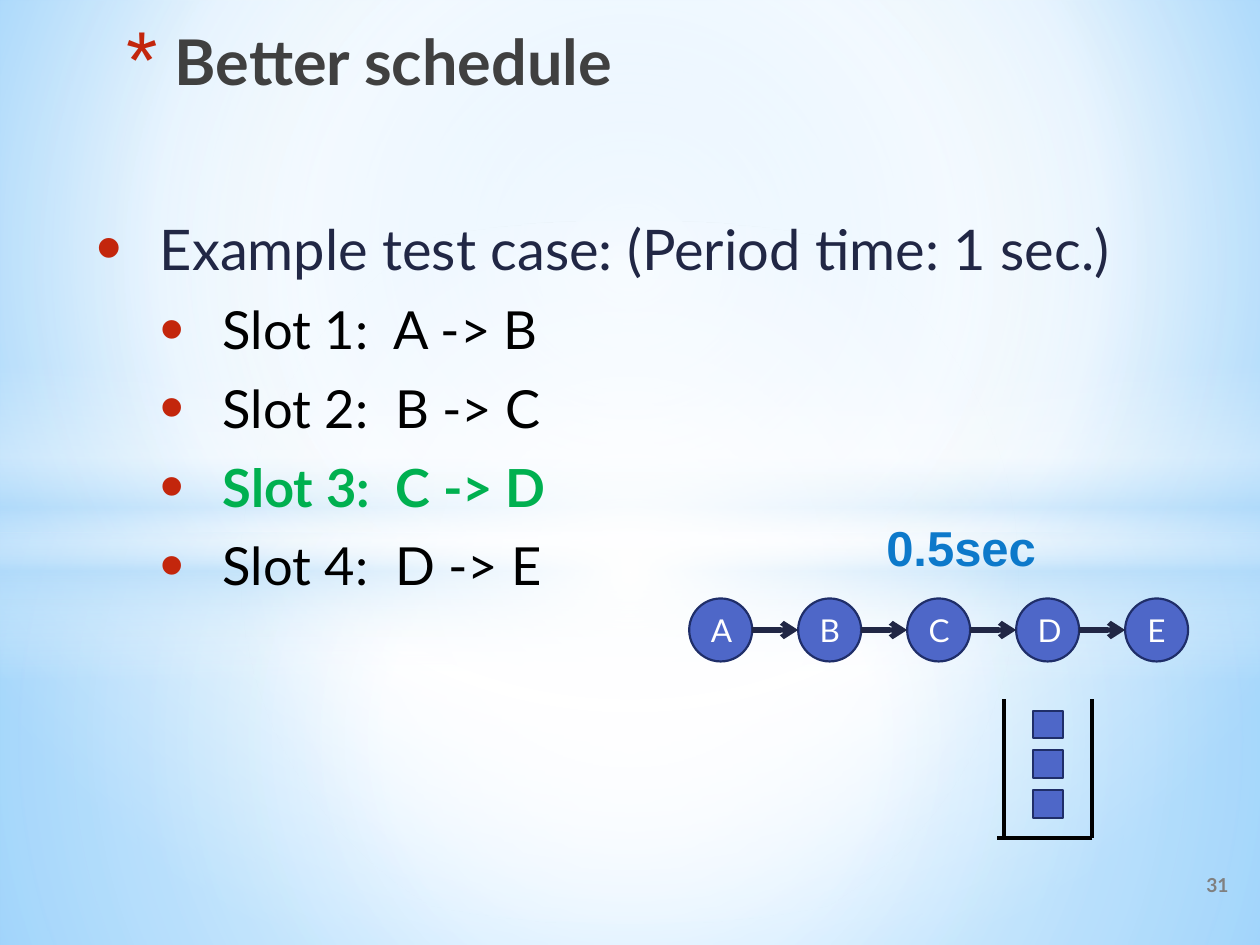
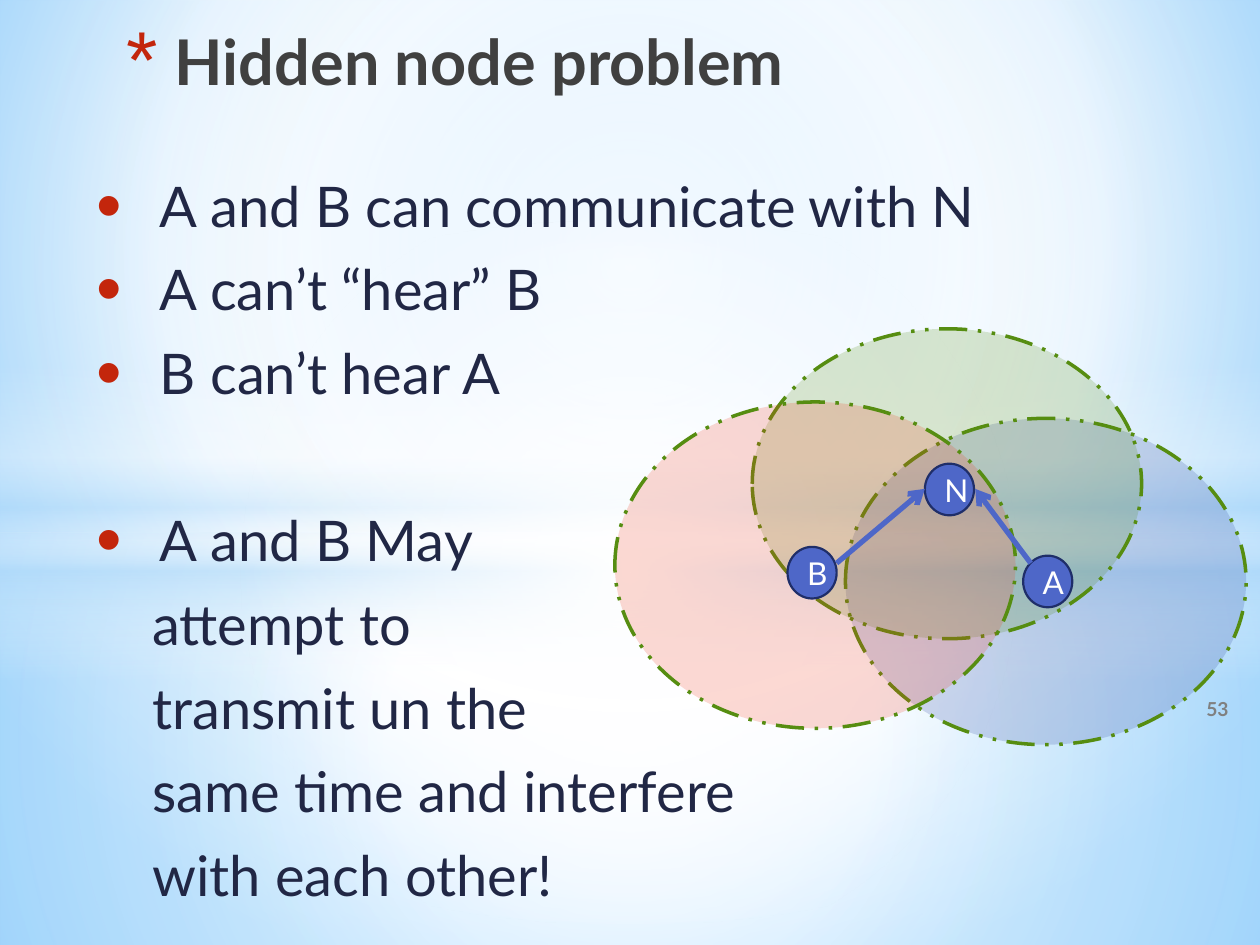
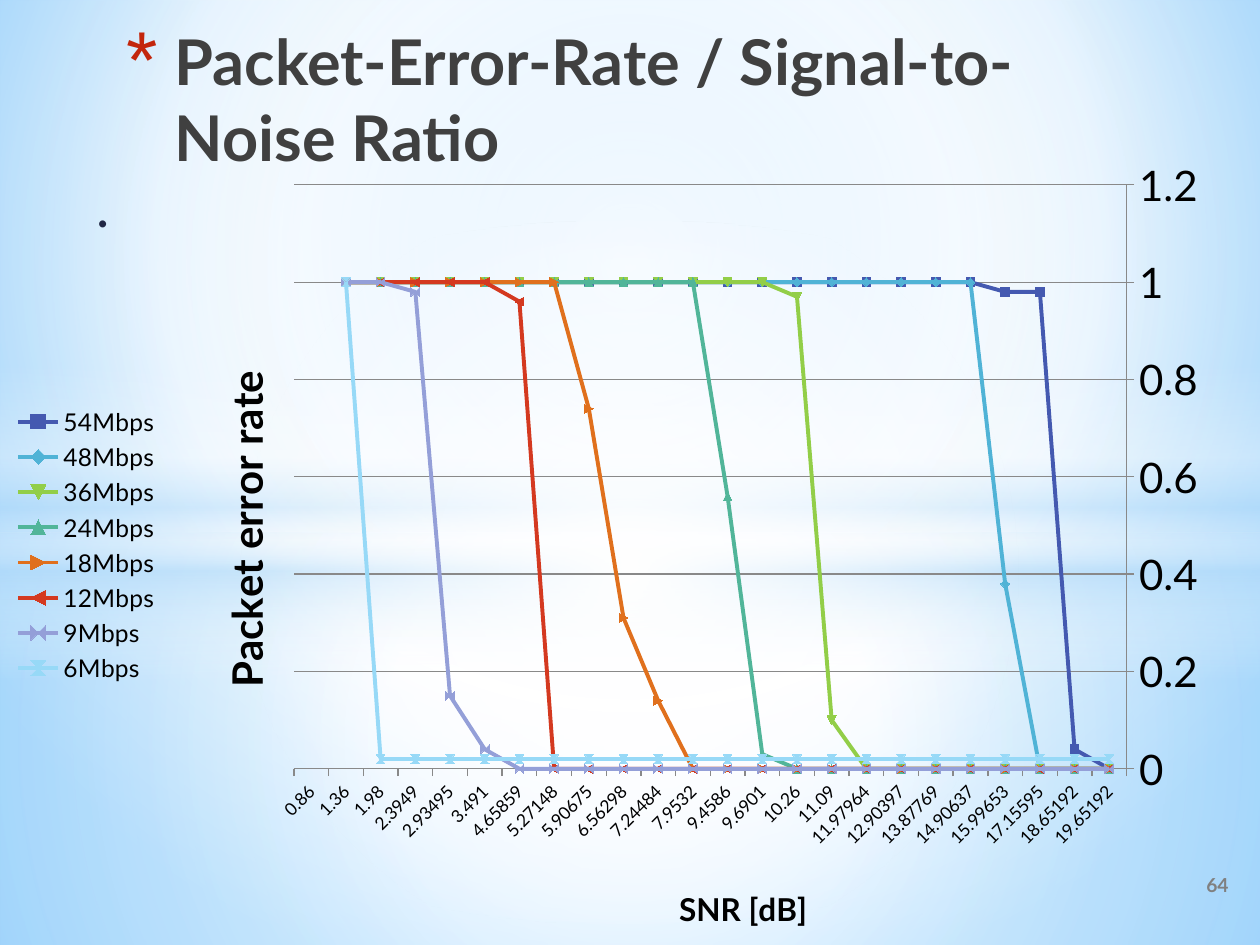
from dataclasses import dataclass
from typing import NamedTuple, Optional

from lxml.etree import SubElement
from pptx import Presentation
from pptx.chart.data import CategoryChartData
from pptx.dml.color import RGBColor
from pptx.enum.chart import XL_CHART_TYPE as ChartType
from pptx.enum.chart import XL_LEGEND_POSITION as LegendPosition
from pptx.enum.chart import XL_TICK_MARK as TickMark
from pptx.enum.dml import MSO_LINE as Dash
from pptx.enum.shapes import MSO_CONNECTOR as Connector
from pptx.enum.shapes import MSO_SHAPE as Preset
from pptx.enum.text import MSO_ANCHOR as Anchor
from pptx.enum.text import PP_ALIGN as Align
from pptx.oxml.ns import qn
from pptx.util import Inches, Pt

COLORS = {
    "title": "404040", "body": "212745", "black": "000000", "white": "FFFFFF",
    "bullet": "C3260C", "active": "00B050", "delay": "0D79CA", "page": "808080",
    "node": "4E67C8", "node_line": "1F2E69", "range_line": "568D11",
    "range_a": "31489F", "range_n": "568D11", "range_b": "F14124",
    "haze": "B4DCFA", "sky": "9ED5FF", "sky_edge": "5BB9FF", "grid": "898989",
    "54Mbps": "4459B0", "48Mbps": "50B3D6", "36Mbps": "92CE48", "24Mbps": "51B599",
    "18Mbps": "E0701D", "12Mbps": "D43920", "9Mbps": "949FD8", "6Mbps": "97D9F7",
}
FONT = "Lato"


class Box(NamedTuple):
    left: float
    top: float
    width: float
    height: float

    def inches(self) -> list:
        return [Inches(value) for value in self]


class Stop(NamedTuple):
    position: int
    color: str
    opacity: int = 100


@dataclass
class Backdrop:
    preset: Preset
    box: Box
    stops: list
    angle: Optional[int] = None


@dataclass
class Line:
    text: str
    size: int = 32
    color: str = "body"
    bold: bool = False
    margin: float = 0.5
    bullet: bool = True
    gap: float = 0


@dataclass
class Node:
    label: str
    box: Box


@dataclass
class RadioRange:
    box: Box
    color: str


@dataclass
class Rate:
    name: str
    values: list


BACKDROPS = [
    Backdrop(Preset.RECTANGLE, Box(0, 4.23, 10, 3.27),
             [Stop(0, "white", 91), Stop(37, "white", 76), Stop(100, "haze", 79)]),
    Backdrop(Preset.RECTANGLE, Box(0, 0, 10, 4.23),
             [Stop(0, "white", 89), Stop(48, "white", 62), Stop(100, "haze", 79)]),
    Backdrop(Preset.RECTANGLE, Box(0, 2.9, 10, 2.5),
             [Stop(0, "white", 0), Stop(29, "white", 30), Stop(45, "haze", 40),
              Stop(55, "white", 26), Stop(65, "haze", 60), Stop(100, "white", 0)], 90),
    Backdrop(Preset.OVAL, Box(0, 1.75, 10, 5.58),
             [Stop(0, "white"), Stop(54, "white", 0)]),
]


def rgb(name: str) -> RGBColor:
    return RGBColor.from_string(COLORS[name])


def paint_gradient(fill, element, stops: list, angle: Optional[int] = None,
                   focus: tuple = (50, 50, 50, 50)) -> None:
    """Linear gradient when an angle is given, otherwise circular around focus."""
    fill.gradient()
    gradient = element.find(".//" + qn("a:gradFill"))
    for child in list(gradient):
        gradient.remove(child)
    stop_list = SubElement(gradient, qn("a:gsLst"))
    for stop in stops:
        mark = SubElement(stop_list, qn("a:gs"), pos=str(stop.position * 1000))
        color = SubElement(mark, qn("a:srgbClr"), val=COLORS[stop.color])
        if stop.opacity < 100:
            SubElement(color, qn("a:alpha"), val=str(stop.opacity * 1000))
    if angle is not None:
        SubElement(gradient, qn("a:lin"), ang=str(angle * 60000), scaled="0")
    else:
        circle = SubElement(gradient, qn("a:path"), path="circle")
        SubElement(circle, qn("a:fillToRect"),
                   {side: str(value * 1000) for side, value in zip("ltrb", focus)})


def build_backdrop(layout, slide) -> None:
    """Draws the shared backdrop and moves it into the layout."""
    paint_gradient(layout.background.fill, layout.element,
                   [Stop(0, "sky"), Stop(60, "white"), Stop(100, "sky_edge")],
                   focus=(20, 10, 20, 60))
    for backdrop in BACKDROPS:
        panel = slide.shapes.add_shape(backdrop.preset, *backdrop.box.inches())
        panel.shadow.inherit = False
        panel.line.fill.background()
        paint_gradient(panel.fill, panel.element, backdrop.stops, backdrop.angle)
        layout.shapes.element.append(panel.element)


def add_run(paragraph, text: str, size: float, color: str,
            bold: bool = False, font: str = FONT) -> None:
    run = paragraph.add_run()
    run.text = text
    run.font.name, run.font.size, run.font.bold = font, Pt(size), bold
    run.font.color.rgb = rgb(color)


def set_bullet(paragraph, char: str, percent: int, margin: float, hang: float) -> None:
    properties = paragraph._p.get_or_add_pPr()
    properties.set("marL", str(Inches(margin)))
    properties.set("indent", str(-Inches(hang)))
    color = SubElement(properties, qn("a:buClr"))
    SubElement(color, qn("a:srgbClr"), val=COLORS["bullet"])
    SubElement(properties, qn("a:buSzPct"), val=str(percent * 1000))
    SubElement(properties, qn("a:buFont"), typeface="Arial")
    SubElement(properties, qn("a:buChar"), char=char)


def add_frame(slide, box: Box):
    frame = slide.shapes.add_textbox(*box.inches()).text_frame
    frame.word_wrap = True
    return frame


def add_title(slide, text: str) -> None:
    paragraph = add_frame(slide, Box(0.91, 0.13, 8.27, 1.1)).paragraphs[0]
    set_bullet(paragraph, "*", 128, 0.38, 0.38)
    add_run(paragraph, text, 36, "title", True)


def add_body(slide, box: Box, lines: list) -> None:
    frame = add_frame(slide, box)
    for index, line in enumerate(lines):
        paragraph = frame.add_paragraph() if index else frame.paragraphs[0]
        paragraph.space_before = Pt(0.2 * line.size + line.gap)
        paragraph.space_after = Pt(3)
        if line.bullet:
            set_bullet(paragraph, "•", 130, line.margin, 0.5)
        else:
            paragraph._p.get_or_add_pPr().set("marL", str(Inches(line.margin)))
        add_run(paragraph, line.text, line.size, line.color, line.bold)


def add_right_text(slide, box: Box, text: str, size: int, color: str,
                   font: str = FONT, anchor: Anchor = Anchor.MIDDLE) -> None:
    frame = add_frame(slide, box)
    frame.vertical_anchor = anchor
    frame.paragraphs[0].alignment = Align.RIGHT
    add_run(frame.paragraphs[0], text, size, color, True, font)


def add_page_number(slide, number: str, box: Box = Box(6.18, 6.82, 3.67, 0.4)) -> None:
    add_right_text(slide, box, number, 11, "page")


def add_solid(slide, preset: Preset, box: Box, fill: str = "node",
              line: str = "node_line", weight: float = 1.25):
    shape = slide.shapes.add_shape(preset, *box.inches())
    shape.shadow.inherit = False
    shape.fill.solid()
    shape.fill.fore_color.rgb = rgb(fill)
    shape.line.color.rgb = rgb(line)
    shape.line.width = Pt(weight)
    return shape


def add_node(slide, node: Node) -> None:
    frame = add_solid(slide, Preset.OVAL, node.box).text_frame
    frame.vertical_anchor = Anchor.MIDDLE
    frame.paragraphs[0].alignment = Align.CENTER
    add_run(frame.paragraphs[0], node.label, 18, "white")


def add_range(slide, radio: RadioRange) -> None:
    oval = add_solid(slide, Preset.OVAL, radio.box, radio.color, "range_line", 2)
    oval.line.dash_style = Dash.DASH_DOT_DOT
    color = oval.element.spPr.find(qn("a:solidFill") + "/" + qn("a:srgbClr"))
    SubElement(color, qn("a:alpha"), val="20000")


def add_line(slide, start: tuple, end: tuple, color: str, weight: float,
             arrow: bool = False) -> None:
    points = [Inches(value) for value in (*start, *end)]
    line = slide.shapes.add_connector(Connector.STRAIGHT, *points)
    line.line.color.rgb = rgb(color)
    line.line.width = Pt(weight)
    if arrow:
        SubElement(line.line._get_or_add_ln(), qn("a:tailEnd"), type="arrow")
    SubElement(line.element.spPr, qn("a:effectLst"))


def build_schedule(slide) -> None:
    slots = [Line(f"Slot {number}:  {hop}", 30, "black", margin=1)
             for number, hop in enumerate(("A -> B", "B -> C", "C -> D", "D -> E"), 1)]
    slots[2].color, slots[2].bold = "active", True
    add_body(slide, Box(0.67, 1.65, 8.98, 2.57),
             [Line("Example test case: (Period time: 1 sec.)"), *slots])
    add_title(slide, "Better schedule")
    add_page_number(slide, "31")

    first, pitch, size, middle = 5.47, 0.865, 0.5, 5
    for index, label in enumerate("ABCDE"):
        left = first + index * pitch
        add_node(slide, Node(label, Box(left, middle - size / 2, size, size)))
        if index:
            add_line(slide, (left - pitch + size, middle), (left, middle), "body", 3, True)

    for index in range(3):
        add_solid(slide, Preset.RECTANGLE, Box(8.2, 5.64 + index * 0.315, 0.24, 0.22))
    left, right, top, bottom = 7.97, 8.67, 5.55, 6.65
    for start, end in (((left, top), (left, bottom)),
                       ((right, bottom), (left - 0.06, bottom)),
                       ((right, top), (right, bottom))):
        add_line(slide, start, end, "black", 2.25)
    add_right_text(slide, Box(6.65, 4.06, 1.67, 0.57), "0.5sec", 28, "delay",
                   "Arial", Anchor.TOP)


def build_hidden_node(slide) -> None:
    continuation = ("attempt to", "transmit un the", "same time and interfere",
                    "with each other!")
    add_body(slide, Box(0.67, 1.31, 8.98, 3.23), [
        Line("A and B can communicate with N"),
        Line("A can’t “hear” B"),
        Line("B can’t hear A"),
        Line("A and B May", gap=47.8),
        *(Line(text, margin=0.44, bullet=False) for text in continuation),
    ])
    add_title(slide, "Hidden node problem")
    add_page_number(slide, "53", Box(6.98, 5.46, 2.87, 0.33))
    for radio in (RadioRange(Box(6.71, 3.32, 3.18, 2.59), "range_a"),
                  RadioRange(Box(5.97, 2.61, 3.09, 2.46), "range_n"),
                  RadioRange(Box(4.88, 3.19, 3.18, 2.59), "range_b")):
        add_range(slide, radio)
    for label, left, top in (("A", 8.12, 4.41), ("B", 6.25, 4.34), ("N", 7.34, 3.68)):
        add_node(slide, Node(label, Box(left, top, 0.39, 0.41)))
    add_line(slide, (6.64, 4.47), (7.34, 3.88), "node", 3, True)
    add_line(slide, (8.18, 4.47), (7.74, 3.88), "node", 3, True)


SNR = ("19.65192 18.65192 17.15595 15.99653 14.90637 13.87769 12.90397 11.97964 "
       "11.09 10.26 9.6901 9.4586 7.9532 7.24484 6.56298 5.90675 5.27148 4.65859 "
       "3.491 2.93495 2.3949 1.98 1.36 0.86").split()


def falling_rate(name: str, zeros: int, *steps: float) -> Rate:
    """Zero at high SNR, then the steps, then 1; the lowest SNR has no value."""
    ones = len(SNR) - 1 - zeros - len(steps)
    return Rate(name, [0] * zeros + list(steps) + [1] * ones + [None])


RATES = [
    falling_rate("54Mbps", 1, 0.04, 0.98, 0.98),
    falling_rate("48Mbps", 3, 0.38),
    falling_rate("36Mbps", 8, 0.1, 0.97),
    falling_rate("24Mbps", 10, 0.03, 0.56),
    falling_rate("18Mbps", 13, 0.14, 0.31, 0.74),
    falling_rate("12Mbps", 17, 0.96),
    falling_rate("9Mbps", 18, 0.04, 0.15, 0.98),
    falling_rate("6Mbps", 0, *[0.02] * 22),
]


def place(part, **fractions: float) -> None:
    """Fixes a chart part at fractions of the chart's size."""
    layout = part.find(qn("c:layout"))
    if layout is None:
        layout = SubElement(part, qn("c:layout"))
        part.insert(0, layout)
    manual = SubElement(layout, qn("c:manualLayout"))
    if "w" in fractions:
        SubElement(manual, qn("c:layoutTarget"), val="inner")
    for key in ("x", "y"):
        SubElement(manual, qn(f"c:{key}Mode"), val="edge")
    for key, value in fractions.items():
        SubElement(manual, qn(f"c:{key}"), val=str(value))


def style_axis(axis, title: str, title_size: int, label_size: int) -> None:
    add_run(axis.axis_title.text_frame.paragraphs[0], title, title_size, "black", True)
    axis.tick_labels.font.size = Pt(label_size)
    axis.major_tick_mark = TickMark.OUTSIDE
    axis.format.line.color.rgb = rgb("grid")


def build_error_rate(slide) -> None:
    add_body(slide, Box(0.67, 1.31, 8.98, 3.23), [Line(".", margin=0, bullet=False)])
    add_title(slide, "Packet-Error-Rate / Signal-to-Noise Ratio")

    data = CategoryChartData()
    data.categories = SNR
    for rate in RATES:
        data.add_series(rate.name, rate.values)
    chart = slide.shapes.add_chart(ChartType.LINE_MARKERS,
                                   *Box(0, 1.15, 9.72, 6.35).inches(), data).chart
    chart.has_title = False
    chart.font.name, chart.font.size = FONT, Pt(10)
    chart.font.color.rgb = rgb("black")
    chart.has_legend = True
    chart.legend.position = LegendPosition.LEFT
    chart.legend.include_in_layout = False
    chart.legend.font.size = Pt(14)

    plot = chart.plots[0]
    plot.vary_by_categories = False
    for series in plot.series:
        series.smooth = False
        series.format.line.width = Pt(2.25)
        series.format.line.color.rgb = rgb(series.name)
        series.marker.format.fill.solid()
        series.marker.format.fill.fore_color.rgb = rgb(series.name)
        series.marker.format.line.color.rgb = rgb(series.name)

    snr, error = chart.category_axis, chart.value_axis
    style_axis(snr, "SNR [dB]", 18, 10)
    style_axis(error, "Packet error rate ", 24, 24)
    snr.reverse_order = True
    error.minimum_scale, error.maximum_scale, error.major_unit = 0, 1.2, 0.2
    error.has_major_gridlines = True
    error.major_gridlines.format.line.color.rgb = rgb("grid")

    area = chart.element.find(".//" + qn("c:plotArea"))
    place(area, x=0.24, y=0.05, w=0.68, h=0.73)
    labels = area.find("/".join(map(qn, ("c:catAx", "c:txPr", "a:bodyPr"))))
    labels.set("rot", "-2700000")
    place(snr.axis_title._element, x=0.55, y=0.92)
    place(error.axis_title._element, x=0.17, y=0.26)
    error.axis_title._element.find(".//" + qn("a:bodyPr")).set("rot", "-5400000")
    add_page_number(slide, "64")


def main() -> None:
    deck = Presentation()
    deck.slide_width, deck.slide_height = Inches(10), Inches(7.5)
    blank = deck.slide_layouts[6]
    builders = (build_schedule, build_hidden_node, build_error_rate)
    slides = [deck.slides.add_slide(blank) for _ in builders]
    build_backdrop(blank, slides[0])
    for build, slide in zip(builders, slides):
        build(slide)
    deck.save("out.pptx")


if __name__ == "__main__":
    main()
